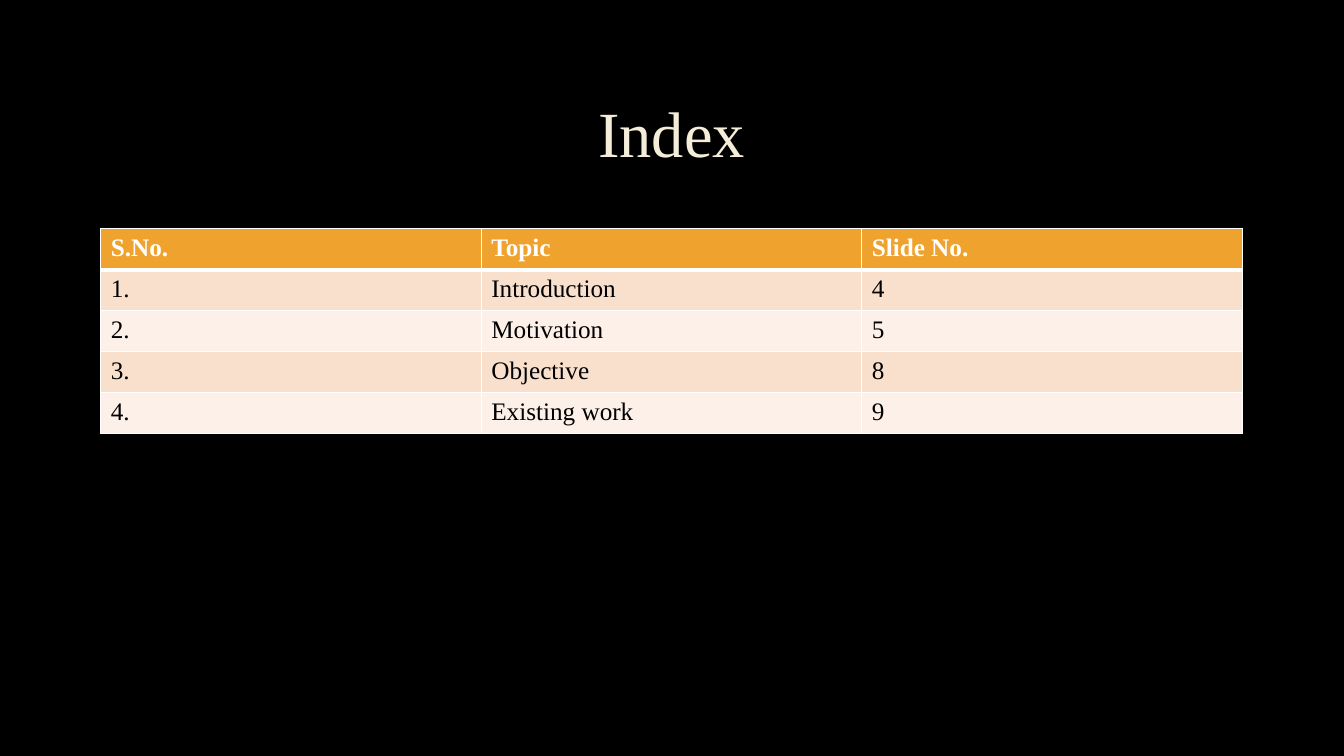
from dataclasses import dataclass

import pptx
import pptx.dml.color
import pptx.enum.text
import pptx.oxml
import pptx.oxml.ns
import pptx.util
from pptx.dml.color import RGBColor
from pptx.util import Inches

BLACK = RGBColor(0x00, 0x00, 0x00)
WHITE = RGBColor(0xFF, 0xFF, 0xFF)
CREAM = RGBColor(0xF4, 0xED, 0xD8)
ORANGE = RGBColor(0xF0, 0xA2, 0x2E)
PEACH = RGBColor(0xF9, 0xE0, 0xCD)
PALE_PEACH = RGBColor(0xFC, 0xF0, 0xE8)
OUTLINE = RGBColor(0x40, 0x40, 0x40)
FONT = "Times New Roman"
LEFT, WIDTH = Inches(1), Inches(11.32)


@dataclass
class IndexRow:
    number: str
    topic: str
    slide_no: str


HEADER = IndexRow("S.No.", "Topic", "Slide No.")
ENTRIES = [
    IndexRow("1.", "Introduction", "4"),
    IndexRow("2.", "Motivation", "5"),
    IndexRow("3.", "Objective", "8"),
    IndexRow("4.", "Existing work", "9"),
]


def line_xml(tag: str, color: RGBColor, points: float, alpha: int = 100):
    """Return a solid DrawingML line element."""
    return pptx.oxml.parse_xml(
        f'<a:{tag} {pptx.oxml.ns.nsdecls("a")} w="{pptx.util.Pt(points)}">'
        f'<a:solidFill><a:srgbClr val="{color}"><a:alpha val="{alpha * 1000}"/>'
        f'</a:srgbClr></a:solidFill><a:prstDash val="solid"/></a:{tag}>')


def add_text(tf, text: str, size: float, color: RGBColor, bold: bool = False):
    p = tf.paragraphs[0]
    r = p.add_run()
    r.text = text
    for name, value in {"name": FONT, "size": pptx.util.Pt(size), "bold": bold}.items():
        setattr(r.font, name, value)
    r.font.color.rgb = color
    return p, r


def add_title(s, text: str) -> None:
    title = s.shapes.title
    box = {"left": LEFT, "top": Inches(0.67), "width": WIDTH, "height": Inches(1.38)}
    for name, value in box.items():
        setattr(title, name, value)
    tf = title.text_frame
    tf.word_wrap = True
    tf.vertical_anchor = pptx.enum.text.MSO_ANCHOR.MIDDLE
    p, r = add_text(tf, text, 46, CREAM)
    p.alignment = pptx.enum.text.PP_ALIGN.CENTER
    p.line_spacing = 0.9
    r.font._element.insert(0, line_xml("ln", OUTLINE, 0.75, 10))


def format_cell(cell, text: str, fill: RGBColor, is_header: bool,
                below_header: bool) -> None:
    add_text(cell.text_frame, text, 18, WHITE if is_header else BLACK, is_header)
    cell.fill.solid()
    cell.fill.fore_color.rgb = fill
    borders = {"lnL": 1, "lnR": 1, "lnT": 3 if below_header else 1,
               "lnB": 3 if is_header else 1}
    tc_pr = cell._tc.get_or_add_tcPr()
    for i, (tag, points) in enumerate(borders.items()):
        tc_pr.insert(i, line_xml(tag, WHITE, points))


def add_index(s, rows: list[IndexRow]) -> None:
    table = s.shapes.add_table(len(rows), 3, LEFT, Inches(2.27), WIDTH, Inches(2.03)).table
    for i, row in enumerate(rows):
        fill = ORANGE if i == 0 else PEACH if i % 2 else PALE_PEACH
        for j, text in enumerate((row.number, row.topic, row.slide_no)):
            format_cell(table.cell(i, j), text, fill, i == 0, i == 1)


def main() -> None:
    prs = pptx.Presentation()
    prs.slide_width, prs.slide_height = Inches(13.33), Inches(7.5)
    s = prs.slides.add_slide(prs.slide_layouts[5])

    # Background
    s.background.fill.solid()
    s.background.fill.fore_color.rgb = BLACK

    # Title and index table
    add_title(s, "Index")
    add_index(s, [HEADER, *ENTRIES])
    prs.save("out.pptx")


if __name__ == "__main__":
    main()
